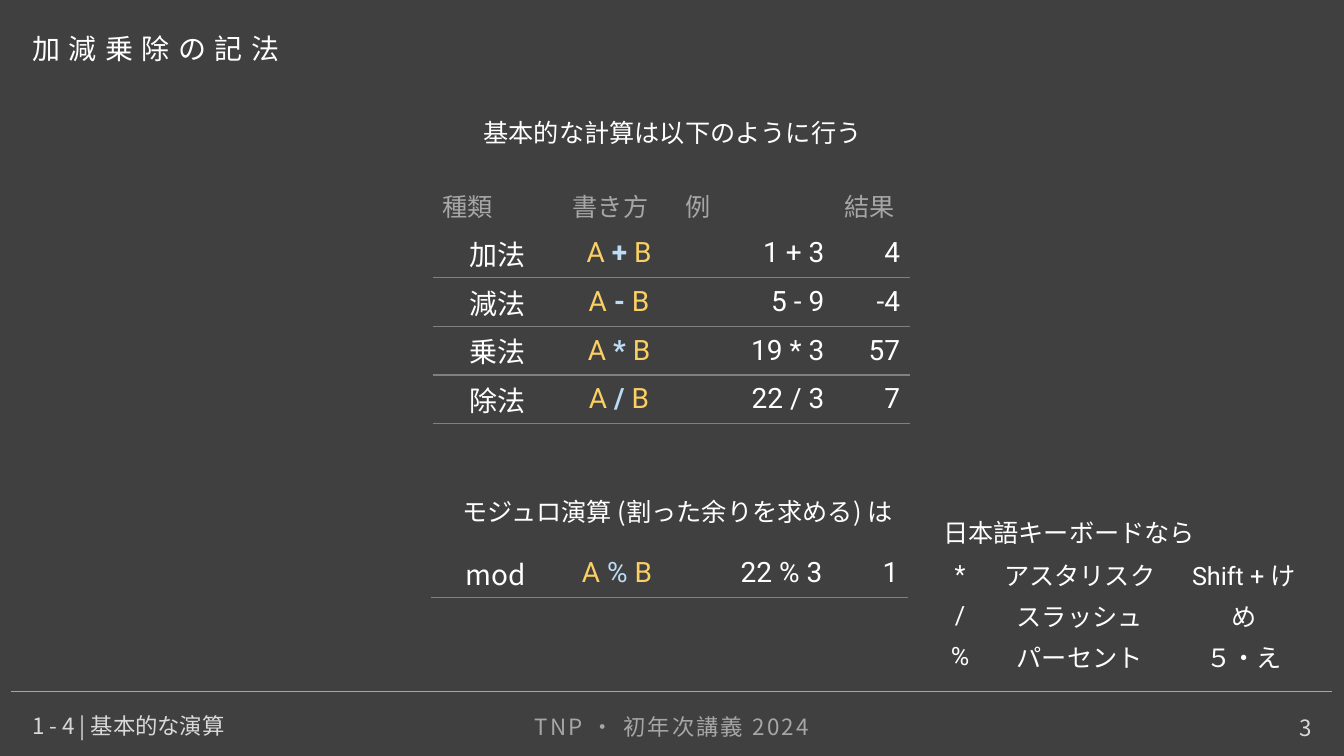
from lxml import etree
from pptx import Presentation
from pptx.dml.color import RGBColor
from pptx.enum.shapes import MSO_CONNECTOR
from pptx.enum.text import MSO_ANCHOR, MSO_AUTO_SIZE, PP_ALIGN
from pptx.oxml.ns import qn
from pptx.util import Cm, Pt

DARK = RGBColor(0x40, 0x40, 0x40)
GRID = RGBColor(0x80, 0x80, 0x80)
GRAY = RGBColor(0xA6, 0xA6, 0xA6)
LIGHT = RGBColor(0xD9, 0xD9, 0xD9)
WHITE = RGBColor(0xFF, 0xFF, 0xFF)
YELLOW = RGBColor(0xFA, 0xCF, 0x64)
BLUE = RGBColor(0xBC, 0xDC, 0xF6)

LEFT, CENTER, RIGHT = PP_ALIGN.LEFT, PP_ALIGN.CENTER, PP_ALIGN.RIGHT
TOP, MIDDLE, BOTTOM = MSO_ANCHOR.TOP, MSO_ANCHOR.MIDDLE, MSO_ANCHOR.BOTTOM
CJK, ROBOTO = "Noto Sans CJK JP", "Roboto"
NO_STYLE = "{2D5ABB26-0587-4C30-8999-92F81FD0307C}"
TITLE_ONLY = 5

OPERATION_COLS = (3.28, 2.84, 4.01, 1.91)
OPERATIONS = (
    ("加法", "+", "1 + 3", "4"),
    ("減法", "-", "5 - 9", "-4"),
    ("乗法", "*", "19 * 3", "57"),
    ("除法", "/", "22 / 3", "7"),
)
KEYS = (
    ("*", "アスタリスク", "Shift + け"),
    ("/", "スラッシュ", "め"),
    ("%", "パーセント", "５・え"),
)


def add_run(p, text, size, color, font=CJK, bold=False, spacing=0):
    """Add a run; spacing is the extra space between letters in points."""
    r = p.add_run()
    r.text = text
    r.font.name = font
    r.font.size = Pt(size)
    r.font.bold = bold
    r.font.color.rgb = color
    rPr = r._r.get_or_add_rPr()
    if spacing:
        rPr.set("spc", str(int(spacing * 100)))
    ea = etree.SubElement(rPr, qn("a:ea"))
    ea.set("typeface", CJK)


def fill_text(sp, text, size, color, align=LEFT, anchor=TOP, spacing=0,
              grow=False):
    tf = sp.text_frame
    tf.word_wrap = True
    tf.auto_size = MSO_AUTO_SIZE.SHAPE_TO_FIT_TEXT if grow else MSO_AUTO_SIZE.NONE
    tf.vertical_anchor = anchor
    p = tf.paragraphs[0]
    p.alignment = align
    add_run(p, text, size, color, spacing=spacing)
    return p


def add_text(s, x, y, w, h, text, size, color, **options):
    sp = s.shapes.add_textbox(Cm(x), Cm(y), Cm(w), Cm(h))
    return fill_text(sp, text, size, color, **options)


def add_plain_table(s, x, y, cols, rows, margin):
    """Add a table without style; margin is each cell's top and bottom inset."""
    frame = s.shapes.add_table(len(rows), len(cols), Cm(x), Cm(y),
                               Cm(sum(cols)), Cm(sum(rows)))
    table = frame.table
    table.first_row = table.horz_banding = False
    table._tbl.tblPr.find(qn("a:tableStyleId")).text = NO_STYLE
    for column, width in zip(table.columns, cols):
        column.width = Cm(width)
    for row, height in zip(table.rows, rows):
        row.height = Cm(height)
    for cell in table.iter_cells():
        cell.fill.background()
        cell.vertical_anchor = MIDDLE
        cell.margin_top = cell.margin_bottom = Cm(margin)
    return table


def cell_paragraph(cell, align):
    p = cell.text_frame.paragraphs[0]
    p.alignment = align
    return p


def rule_below(cell):
    ln = etree.Element(qn("a:lnB"), w=str(Pt(1)))
    fill = etree.SubElement(ln, qn("a:solidFill"))
    etree.SubElement(fill, qn("a:srgbClr"), val=str(GRID))
    cell._tc.get_or_add_tcPr().insert(0, ln)


def fill_operation(row, name, sign, example, result, bold=True):
    cells = list(row.cells)
    add_run(cell_paragraph(cells[0], CENTER), name, 20, WHITE)
    p = cell_paragraph(cells[1], CENTER)
    add_run(p, "A ", 20, YELLOW, ROBOTO)
    add_run(p, sign + " ", 20, BLUE, ROBOTO, bold)
    add_run(p, "B", 20, YELLOW, ROBOTO)
    for cell, text in zip(cells[2:], (example, result)):
        add_run(cell_paragraph(cell, RIGHT), text, 20, WHITE, ROBOTO)
    for cell in cells:
        rule_below(cell)


def add_title(s, x, y, w, h):
    sp = s.shapes.title
    sp.left, sp.top, sp.width, sp.height = Cm(x), Cm(y), Cm(w), Cm(h)
    fill_text(sp, "加減乗除の記法", 20, WHITE, spacing=6, grow=True)


def add_arithmetic(s, x, y):
    add_text(s, x - 9.42, y, 30.94, 1.02, "基本的な計算は以下のように行う",
             18, WHITE, align=CENTER, grow=True)
    table = add_plain_table(s, x, y + 1.78, OPERATION_COLS,
                            [1.14] + [1.23] * len(OPERATIONS), 0.1)
    header, *body = table.rows
    for cell, text in zip(header.cells, ("種類", "書き方", "例", "結果")):
        add_run(cell_paragraph(cell, LEFT), text, 18, GRAY)
    for row, operation in zip(body, OPERATIONS):
        fill_operation(row, *operation)


def add_modulo(s, x, y):
    add_text(s, x - 0.61, y, 13.67, 1.02,
             "モジュロ演算 (割った余りを求める) は", 18, WHITE,
             align=CENTER, grow=True)
    table = add_plain_table(s, x, y + 1.45, OPERATION_COLS, [1.23], 0.1)
    fill_operation(table.rows[0], "mod", "%", "22 % 3", "1", bold=False)


def add_keyboard_help(s, x, y):
    p = add_text(s, x + 0.15, y, 8.28, 1.02, "日本語キーボードなら", 18,
                 WHITE, anchor=MIDDLE)
    p.line_spacing = 1.2
    table = add_plain_table(s, x, y + 1.14, (1.65, 4.38, 3.9),
                            [1.03] * len(KEYS), 0.05)
    for row, texts in zip(table.rows, KEYS):
        for cell, text in zip(row.cells, texts):
            add_run(cell_paragraph(cell, CENTER), text, 18, WHITE, ROBOTO)


def add_footer(s, x, y, w):
    line = s.shapes.add_connector(MSO_CONNECTOR.STRAIGHT,
                                  Cm(x), Cm(y), Cm(x + w), Cm(y))
    line.line.color.rgb = GRAY
    line.line.width = Pt(0.5)
    etree.SubElement(line._element.spPr, qn("a:effectLst"))
    add_text(s, x + 0.28, y + 0.36, 10.29, 1.02, "1 - 4 | 基本的な演算",
             16, LIGHT, anchor=MIDDLE)
    add_text(s, x + (w - 11.43) / 2, y + 0.42, 11.43, 1.02,
             "TNP ・ 初年次講義 2024", 16, GRAY, align=CENTER, spacing=1.5)
    add_text(s, x + w - 10.57, y + 0.36, 10.29, 1.02, "3", 16, LIGHT,
             align=RIGHT, anchor=BOTTOM)


def main():
    prs = Presentation()
    prs.slide_width, prs.slide_height = Cm(33.87), Cm(19.05)
    s = prs.slides.add_slide(prs.slide_layouts[TITLE_ONLY])
    s.background.fill.solid()
    s.background.fill.fore_color.rgb = DARK
    add_title(s, 0.56, 0.66, 11.79, 1.12)
    add_arithmetic(s, 10.9, 2.84)
    add_modulo(s, 10.85, 12.37)
    add_keyboard_help(s, 23.37, 12.83)
    add_footer(s, 0.28, 17.42, 33.3)
    prs.save("out.pptx")


if __name__ == "__main__":
    main()
